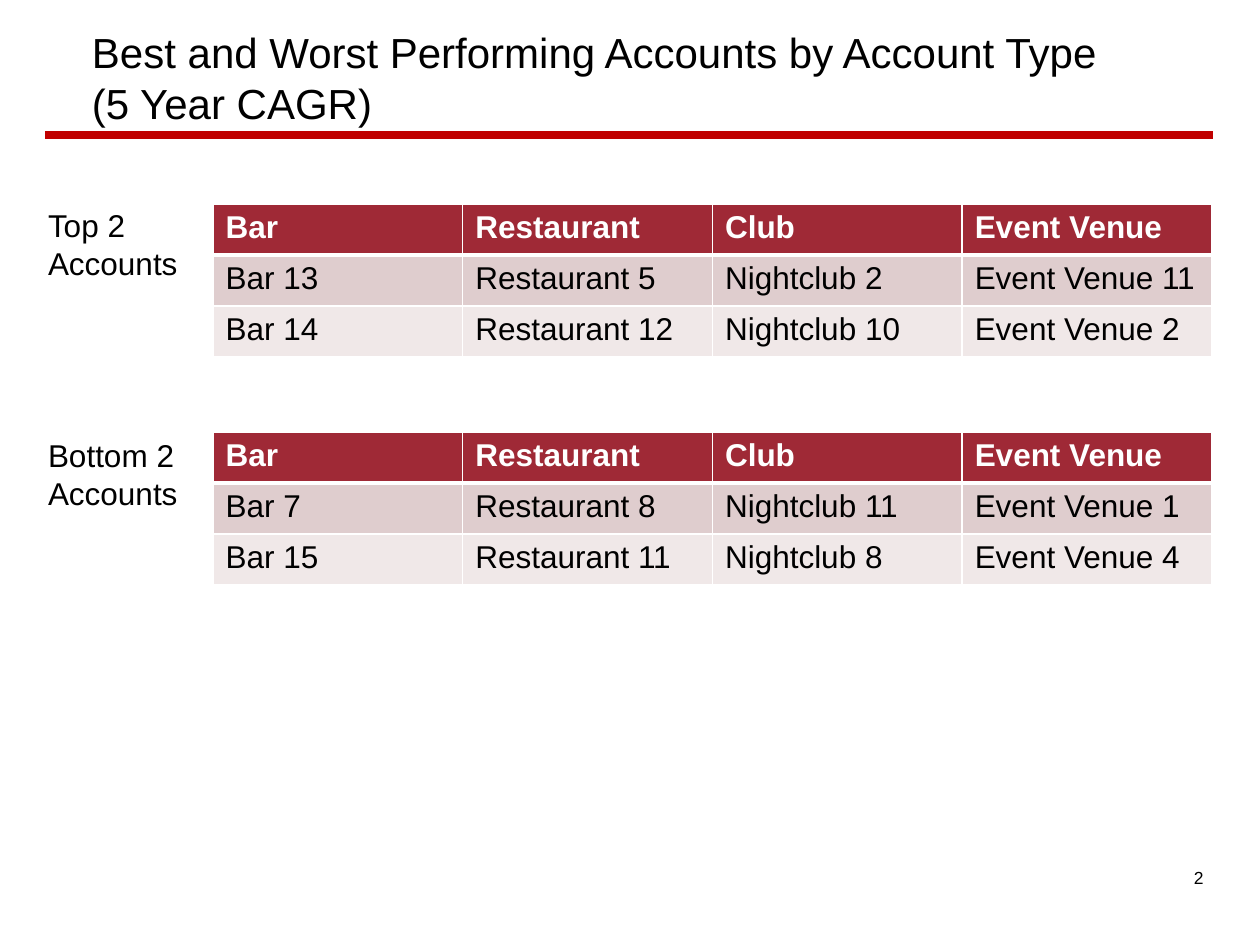
from dataclasses import dataclass

import lxml.etree
import pptx
import pptx.dml.color
import pptx.enum.shapes
import pptx.enum.text
import pptx.oxml.ns
import pptx.shapes.connector
import pptx.slide
import pptx.table
import pptx.text.text
import pptx.util

EMU_PER_PIXEL = 914400 / 126
FONT_NAME = "Arial"
BLACK = pptx.dml.color.RGBColor(0x00, 0x00, 0x00)
WHITE = pptx.dml.color.RGBColor(0xFF, 0xFF, 0xFF)
RULE_RED = pptx.dml.color.RGBColor(0xC0, 0x00, 0x00)
HEADER_RED = pptx.dml.color.RGBColor(0x9F, 0x29, 0x36)
BODY_FILLS = (
    pptx.dml.color.RGBColor(0xDF, 0xCD, 0xCE),
    pptx.dml.color.RGBColor(0xF0, 0xE8, 0xE8),
)

TABLE_LEFT, TABLE_WIDTH, ROW_HEIGHT = 213, 999, 51
HEADERS = ("Bar", "Restaurant", "Club", "Event Venue")


@dataclass(frozen=True)
class TextBlock:
    text: str
    left: int
    top: int
    width: int
    height: int
    size: int
    alignment: pptx.enum.text.PP_ALIGN = pptx.enum.text.PP_ALIGN.LEFT
    anchor: pptx.enum.text.MSO_ANCHOR = pptx.enum.text.MSO_ANCHOR.TOP
    left_inset: int = 13


@dataclass(frozen=True)
class Ranking:
    label: str
    label_top: int
    table_top: int
    rows: tuple[tuple[str, ...], ...]


TEXT_BLOCKS = (
    TextBlock("2", 882, 861, 334, 66, 10, pptx.enum.text.PP_ALIGN.RIGHT),
    TextBlock(
        "Best and Worst Performing Accounts by Account Type\v(5 Year CAGR)",
        43, 18, 1171, 118, 24,
        anchor=pptx.enum.text.MSO_ANCHOR.MIDDLE, left_inset=49,
    ),
)

RANKINGS = (
    Ranking("Top 2 Accounts", 200, 204, (
        ("Bar 13", "Restaurant 5", "Nightclub 2", "Event Venue 11"),
        ("Bar 14", "Restaurant 12", "Nightclub 10", "Event Venue 2"),
    )),
    Ranking("Bottom 2 Accounts", 430, 432, (
        ("Bar 7", "Restaurant 8", "Nightclub 11", "Event Venue 1"),
        ("Bar 15", "Restaurant 11", "Nightclub 8", "Event Venue 4"),
    )),
)


def pixels(count: float) -> pptx.util.Emu:
    return pptx.util.Emu(round(count * EMU_PER_PIXEL))


def format_paragraph(
    paragraph: pptx.text.text._Paragraph,
    size: int,
    color: pptx.dml.color.RGBColor,
    bold: bool = False,
) -> None:
    values = {"name": FONT_NAME, "size": pptx.util.Pt(size), "bold": bold}
    for run in paragraph.runs:
        for name, value in values.items():
            setattr(run.font, name, value)
        run.font.color.rgb = color


def add_text(slide: pptx.slide.Slide, block: TextBlock) -> None:
    shape = slide.shapes.add_textbox(
        *map(pixels, (block.left, block.top, block.width, block.height))
    )
    frame = shape.text_frame
    values = {
        "word_wrap": True,
        "vertical_anchor": block.anchor,
        "margin_left": pixels(block.left_inset),
        "text": block.text,
    }
    for name, value in values.items():
        setattr(frame, name, value)
    paragraph = frame.paragraphs[0]
    paragraph.alignment = block.alignment
    format_paragraph(paragraph, block.size, BLACK)


def add_title_rule(slide: pptx.slide.Slide) -> None:
    rule = slide.shapes.add_connector(
        pptx.enum.shapes.MSO_CONNECTOR.STRAIGHT,
        *map(pixels, (45, 135, 1213, 135)),
    )
    rule.line.color.rgb = RULE_RED
    rule.line.width = pptx.util.Pt(4.5)
    properties = rule._element.spPr
    lxml.etree.SubElement(properties, pptx.oxml.ns.qn("a:effectLst"))


def set_borders(cell: pptx.table._Cell, top: int, bottom: int) -> None:
    properties = cell._tc.get_or_add_tcPr()
    widths = {"a:lnL": 1, "a:lnR": 1, "a:lnT": top, "a:lnB": bottom}
    for position, (tag, width) in enumerate(widths.items()):
        line = lxml.etree.Element(
            pptx.oxml.ns.qn(tag), w=str(pptx.util.Pt(width))
        )
        fill = lxml.etree.SubElement(line, pptx.oxml.ns.qn("a:solidFill"))
        lxml.etree.SubElement(
            fill, pptx.oxml.ns.qn("a:srgbClr"), val=str(WHITE)
        )
        properties.insert(position, line)


def add_ranking(slide: pptx.slide.Slide, ranking: Ranking) -> None:
    rows = (HEADERS, *ranking.rows)
    shape = slide.shapes.add_table(
        len(rows), len(HEADERS),
        *map(pixels, (
            TABLE_LEFT, ranking.table_top, TABLE_WIDTH, ROW_HEIGHT * len(rows)
        )),
    )
    table = shape.table
    table.horz_banding = False
    for row_index, texts in enumerate(rows):
        is_header = row_index == 0
        fill = HEADER_RED if is_header else BODY_FILLS[row_index - 1]
        for column_index, text in enumerate(texts):
            cell = table.cell(row_index, column_index)
            cell.text = text
            cell.fill.solid()
            cell.fill.fore_color.rgb = fill
            format_paragraph(
                cell.text_frame.paragraphs[0], 18,
                WHITE if is_header else BLACK, is_header,
            )
            set_borders(
                cell, 3 if row_index == 1 else 1, 3 if is_header else 1
            )
    add_text(
        slide, TextBlock(ranking.label, 35, ranking.label_top, 208, 90, 18)
    )


def main() -> None:
    presentation = pptx.Presentation()
    presentation.slide_width = pixels(1260)
    presentation.slide_height = pixels(945)
    slide = presentation.slides.add_slide(presentation.slide_layouts[6])
    add_title_rule(slide)
    for block in TEXT_BLOCKS:
        add_text(slide, block)
    for ranking in RANKINGS:
        add_ranking(slide, ranking)
    presentation.save("out.pptx")


main()
